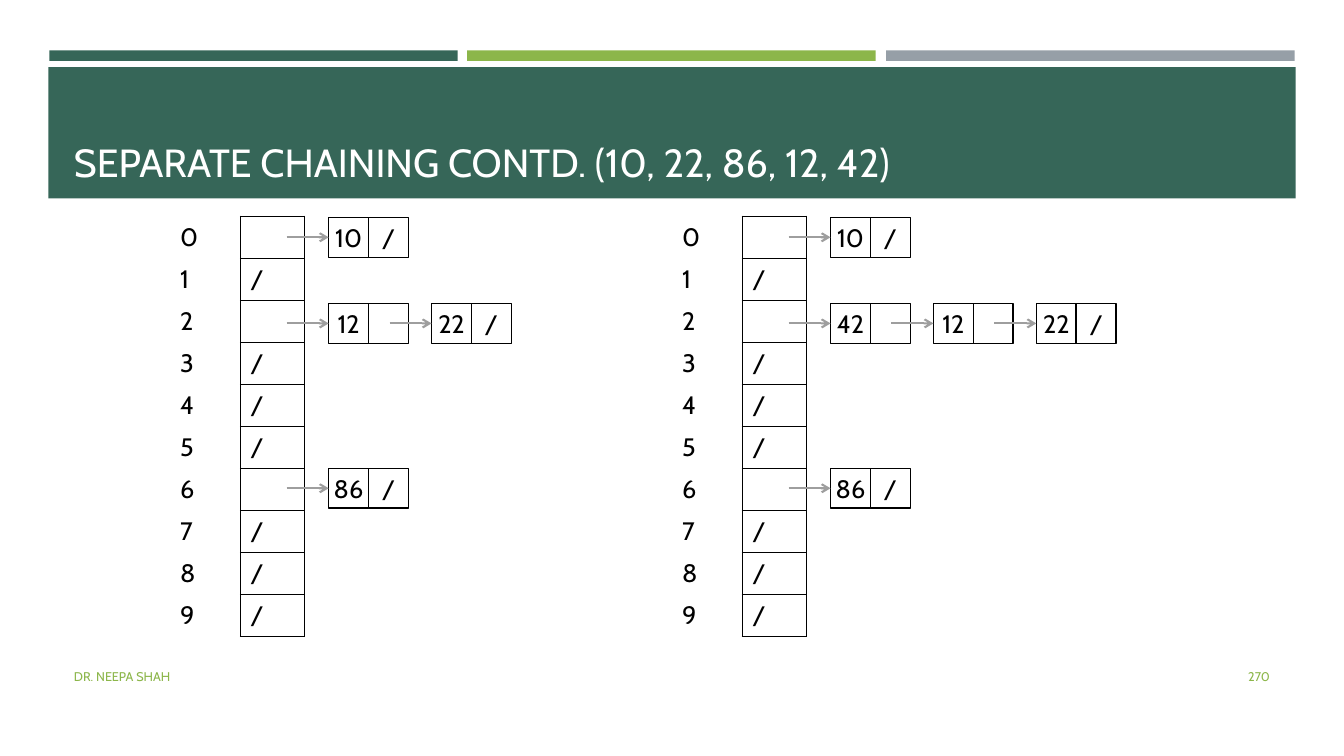
import pptx
import pptx.util
import pptx.dml.color
import pptx.enum.shapes
import pptx.enum.text
import pptx.oxml.ns
from lxml import etree

RGBColor = pptx.dml.color.RGBColor
PP_ALIGN = pptx.enum.text.PP_ALIGN
ANCHOR = pptx.enum.text.MSO_ANCHOR
RECT = pptx.enum.shapes.MSO_SHAPE.RECTANGLE
STRAIGHT = pptx.enum.shapes.MSO_CONNECTOR.STRAIGHT
qn = pptx.oxml.ns.qn

PX = 9525  # EMU per px, 96 px to the inch
FONT = "Cabin"
WHITE = RGBColor(0xFF, 0xFF, 0xFF)
BLACK = RGBColor(0, 0, 0)
TEAL = RGBColor(0x36, 0x66, 0x58)
GREEN = RGBColor(0x8C, 0xB6, 0x4A)
GREY = RGBColor(0x96, 0x9F, 0xA7)
ARROW = RGBColor(0x9E, 0x9E, 0x9E)

TABLE_TOP, ROW_H, ROWS = 206, 40, 10
LABEL_W, SLOT_W = 67, 61
CELL = 38          # side of each half of a list node
FIRST_NODE = 151   # from the table's left edge to its first nodes
NODE_PITCH = 98
ARROW_LEN = 40
NODE_TOPS = {0: 207, 2: 289, 6: 446}


def px(*values):
    return [pptx.util.Emu(v * PX) for v in values]


def set_text(tf, text, size, color, align=PP_ALIGN.LEFT):
    p = tf.paragraphs[0]
    p.alignment = align
    p.add_run().text = text
    p.font.name = FONT
    p.font.size = pptx.util.Pt(size)
    p.font.color.rgb = color


def add_bar(s, x, y, w, h, color):
    sp = s.shapes.add_shape(RECT, *px(x, y, w, h))
    sp.shadow.inherit = False
    sp.fill.solid()
    sp.fill.fore_color.rgb = color
    sp.line.fill.background()


def add_label(s, box, text, size, color, anchor, align=PP_ALIGN.LEFT):
    tf = s.shapes.add_textbox(*px(*box)).text_frame
    tf.word_wrap = True
    tf.vertical_anchor = anchor
    set_text(tf, text, size, color, align)


def add_border(cell, sides):
    tcPr = cell._tc.get_or_add_tcPr()
    for side in sides:
        ln = etree.SubElement(tcPr, qn(f"a:ln{side}"), w="12700")
        fill = etree.SubElement(ln, qn("a:solidFill"))
        etree.SubElement(fill, qn("a:srgbClr"), val=str(BLACK))


def add_hash_table(s, x, used):
    frame = s.shapes.add_table(
        ROWS, 2, *px(x, TABLE_TOP, LABEL_W + SLOT_W, ROWS * ROW_H))
    table = frame.table
    table.first_row = table.horz_banding = False
    table.columns[0].width, table.columns[1].width = px(LABEL_W, SLOT_W)
    for i in range(ROWS):
        table.rows[i].height = px(ROW_H)[0]
        texts = (str(i), "" if i in used else "/")
        for j, (text, sides) in enumerate(zip(texts, ("R", "LRTB"))):
            cell = table.cell(i, j)
            add_border(cell, sides)
            cell.fill.background()
            cell.vertical_anchor = ANCHOR.MIDDLE
            if text:
                set_text(cell.text_frame, text, 18, BLACK)


def add_box(s, x, y, text):
    sp = s.shapes.add_shape(RECT, *px(x, y, CELL, CELL))
    sp.shadow.inherit = False
    sp.fill.background()
    sp.line.color.rgb = BLACK
    sp.line.width = pptx.util.Pt(1)
    tf = sp.text_frame
    tf.margin_left = tf.margin_right = tf.margin_top = tf.margin_bottom = 0
    tf.vertical_anchor = ANCHOR.MIDDLE
    if text:
        set_text(tf, text, 18, BLACK, PP_ALIGN.CENTER)
    return sp


def add_arrow_to(s, sp, x, y):
    c = s.shapes.add_connector(STRAIGHT, *px(x - ARROW_LEN, y, x, y))
    c.end_connect(sp, 1)
    c.line.color.rgb = ARROW
    c.line.width = pptx.util.Pt(1.5)
    etree.SubElement(c.line._get_or_add_ln(), qn("a:tailEnd"), type="arrow")
    etree.SubElement(c._element.spPr, qn("a:effectLst"))


def add_chain(s, x, y, keys):
    for i, key in enumerate(keys):
        node_x = x + i * NODE_PITCH
        key_box = add_box(s, node_x, y, key)
        add_box(s, node_x + CELL, y, "/" if i == len(keys) - 1 else "")
        add_arrow_to(s, key_box, node_x, y + CELL // 2)


def main():
    prs = pptx.Presentation()
    prs.slide_width, prs.slide_height = px(1280, 720)
    s = prs.slides.add_slide(prs.slide_layouts[6])

    # Header
    for x, color in ((47, TEAL), (445, GREEN), (844, GREY)):
        add_bar(s, x, 48, 389, 10, color)
    add_bar(s, 46, 64, 1188, 125, TEAL)
    add_label(s, (61, 74, 1158, 107),
              "SEPARATE CHAINING CONTD. (10, 22, 86, 12, 42)",
              28, WHITE, ANCHOR.BOTTOM)

    # Hash tables before and after 42 is inserted
    states = (
        (162, {0: ["10"], 2: ["12", "22"], 6: ["86"]}),
        (640, {0: ["10"], 2: ["42", "12", "22"], 6: ["86"]}),
    )
    for x, chains in states:
        add_hash_table(s, x, chains)
        for row, keys in chains.items():
            add_chain(s, x + FIRST_NODE, NODE_TOPS[row], keys)

    # Footer
    add_label(s, (61, 625, 726, 38), "DR. NEEPA SHAH", 9, GREEN, ANCHOR.MIDDLE)
    add_label(s, (1109, 625, 110, 38), "270", 9, GREEN, ANCHOR.MIDDLE,
              PP_ALIGN.RIGHT)

    prs.save("out.pptx")


if __name__ == "__main__":
    main()
